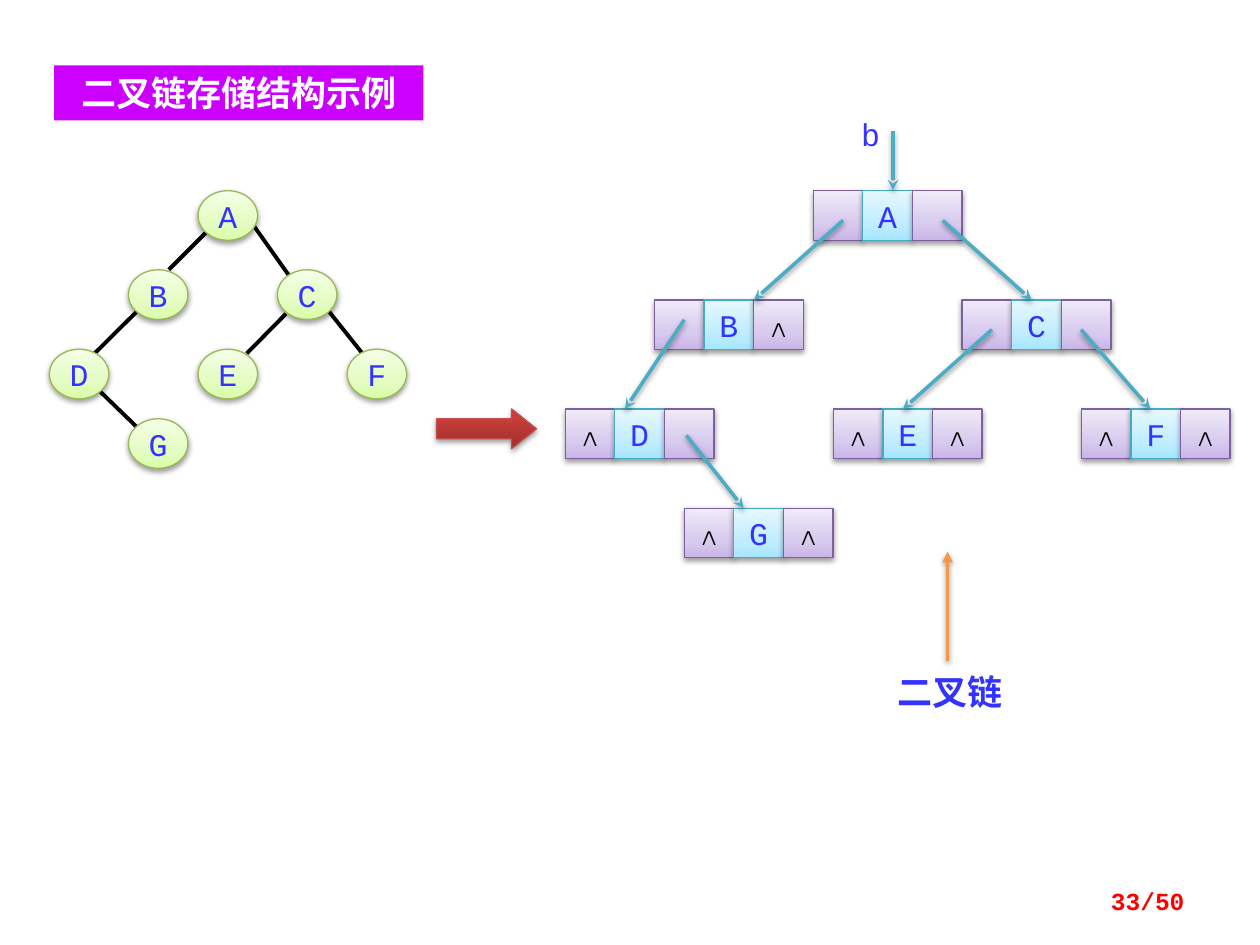
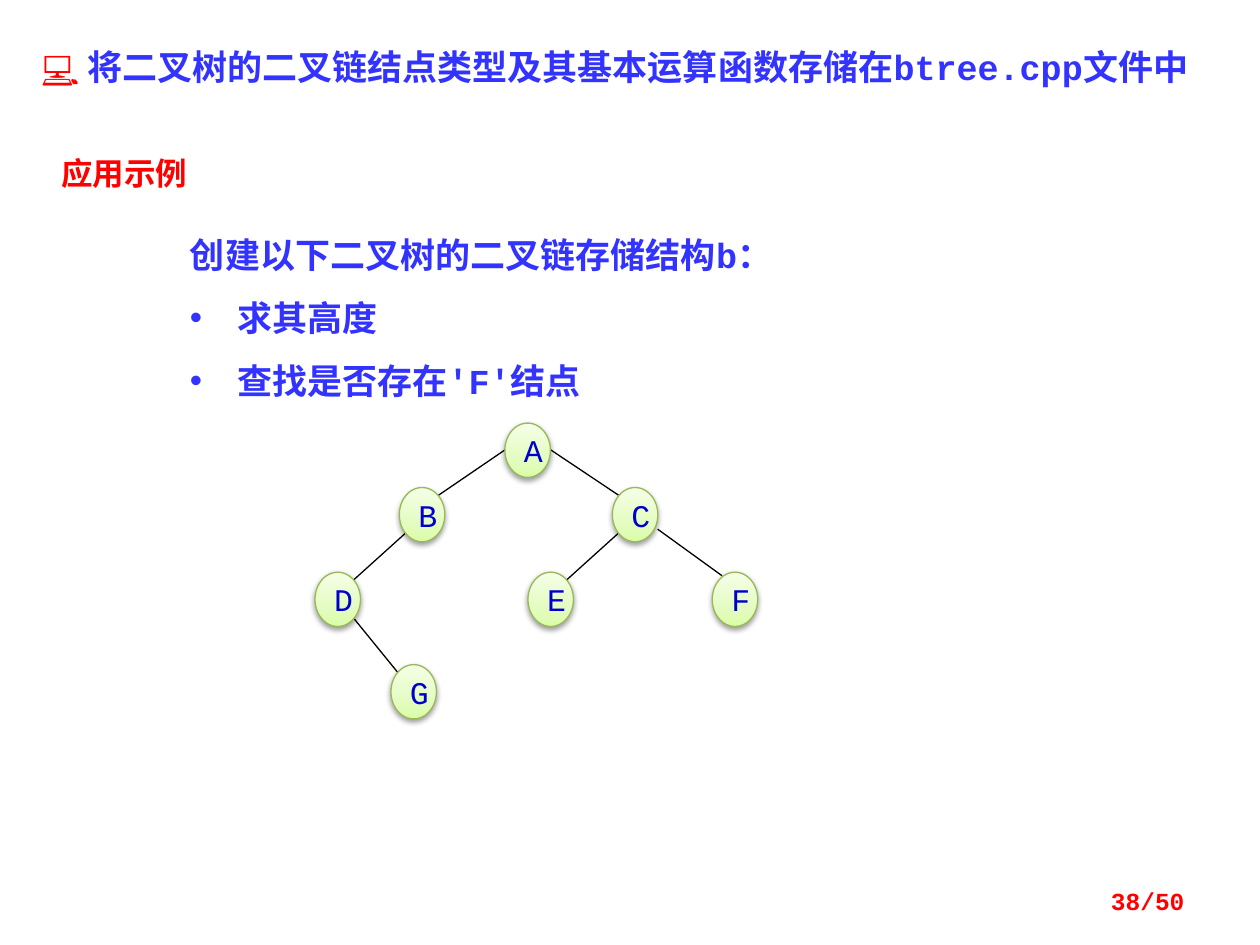
from copy import deepcopy

from lxml import etree
from pptx import Presentation
from pptx import util as u
from pptx.dml.color import RGBColor
from pptx.enum import shapes, text
from pptx.oxml import parse_xml
from pptx.oxml.ns import nsdecls, qn

Pt = u.Pt
rgb = RGBColor.from_string
BLUE, NAVY, RED, WHITE, BLACK = "3333FF", "0000CC", "FF0000", "FFFFFF", "000000"
MONO, HAN = "Courier New", "Noto Sans CJK SC"
LEFT, CENTER, RIGHT = text.PP_ALIGN.LEFT, text.PP_ALIGN.CENTER, text.PP_ALIGN.RIGHT
RECT, OVAL = shapes.MSO_SHAPE.RECTANGLE, shapes.MSO_SHAPE.OVAL

# Palettes: outline colour, then gradient stops from bottom to top
GREEN = ("98B955", [(0, "DAFDA7"), (0.35, "E4FCC2"), (1, "F5FFE7")])
PURPLE = ("7D60A0", [(0, "C9B5E8"), (0.35, "D8CBEE"), (1, "F0EAF9")])
CYAN = ("46AAC5", [(0, "A7E6FF"), (0.35, "C1EDFF"), (1, "E7F8FF")])
BRICK = ("BF4C48", [(0, "9C2F2D"), (0.8, "CB3E3A"), (1, "CE3B37")])
SHADOW = (f'<a:effectLst {nsdecls("a")}><a:outerShdw blurRad="40000" dist="20000" '
          'dir="5400000" rotWithShape="0"><a:srgbClr val="000000"><a:alpha val="38000"/>'
          '</a:srgbClr></a:outerShdw></a:effectLst>')


def add_box(slide, at, words="", size=18, color=BLUE, font=MONO, bold=False, align=CENTER,
            kind=None, palette=None, wrap=True):
    """Add a text box, or a shaded shape when kind and palette are given."""
    at = [Pt(n) for n in at]
    if kind is None:
        box = slide.shapes.add_textbox(*at)
    else:
        box = slide.shapes.add_shape(kind, *at)
        box.text_frame.vertical_anchor = text.MSO_ANCHOR.MIDDLE
    if palette:
        outline, stops = palette
        box.fill.gradient()
        box.fill.gradient_angle = 90
        stop_list = box._element.spPr.find(".//" + qn("a:gsLst"))
        stop_list.append(deepcopy(stop_list[0]))
        for stop, (position, shade) in zip(box.fill.gradient_stops, stops):
            stop.position = position
            stop.color.rgb = rgb(shade)
        box.line.color.rgb = rgb(outline)
        box.line.width = Pt(0.75)
        box._element.spPr.append(parse_xml(SHADOW))
    box.text_frame.word_wrap = wrap
    box.text_frame.text = words
    for paragraph in box.text_frame.paragraphs:
        paragraph.alignment = align
        for run in paragraph.runs:
            run.font.size, run.font.name, run.font.bold = Pt(size), font, bold
            run.font.color.rgb = rgb(color)
            etree.SubElement(run.font._element, qn("a:ea"), typeface=HAN)
    return box


def add_line(slide, ends, color=BLACK, width=0.75, head=None):
    """Add a straight line; one with an arrowhead also casts a shadow."""
    line = slide.shapes.add_connector(shapes.MSO_CONNECTOR.STRAIGHT, *[Pt(n) for n in ends])
    line.line.color.rgb = rgb(color)
    line.line.width = Pt(width)
    if head:
        etree.SubElement(line.line._get_or_add_ln(), qn("a:tailEnd"), type=head)
    effects = SHADOW if head else f'<a:effectLst {nsdecls("a")}/>'
    line._element.spPr.append(parse_xml(effects))


deck = Presentation()
deck.slide_width, deck.slide_height = Pt(720), Pt(540)
storage, usage = [deck.slides.add_slide(deck.slide_layouts[6]) for _ in range(2)]

# Binary trees, one on each slide
trees = [
    (storage, (34, 28.35), BLUE, 2.25, False,
     {"A": (113.2, 109), "B": (73.4, 154.2), "C": (158.5, 154.2), "D": (28.2, 199.6),
      "E": (113.2, 199.6), "F": (198.4, 199.6), "G": (73.4, 239.3)},
     [(118.8, 131.8, 96.5, 154.1), (145, 129, 165.2, 157.5), (79.2, 177, 51, 205),
      (163.4, 179.3, 141, 202), (187.2, 177, 209.5, 205), (56, 222.5, 79, 244.8)]),
    (usage, (26, 31), NAVY, 0.75, True,
     {"A": (288.5, 241.8), "B": (228.2, 278.6), "C": (349.9, 278.6), "D": (180, 327),
      "E": (301.7, 327), "F": (407, 327), "G": (223.4, 379.8)},
     [(288.7, 257, 250.6, 283), (314.6, 257, 353.5, 283), (231.8, 304.6, 202.3, 331.2),
      (353.5, 304.6, 324, 331.2), (375.8, 302.4, 412.6, 329), (202.3, 353.5, 227.5, 384.5)]),
]
for slide, node_size, letter_color, edge_width, wrap, nodes, edges in trees:
    for edge in edges:
        add_line(slide, edge, width=edge_width)
    for letter, corner in nodes.items():
        add_box(slide, corner + node_size, letter, color=letter_color,
                kind=OVAL, palette=GREEN, wrap=wrap)

# Slide 1: linked storage, each node with left pointer, data and right pointer
convert = add_box(storage, (249.5, 233.7, 57, 22.7),
                  kind=shapes.MSO_SHAPE.RIGHT_ARROW, palette=BRICK)
convert.adjustments[1] = 0.626
CELL = 28.35
NIL = "∧"
records = [
    (464.7, 109, "", "A", ""), (374, 171.4, "", "B", NIL), (323, 233.7, NIL, "D", ""),
    (391, 290.4, NIL, "G", NIL), (549.8, 171.4, "", "C", ""),
    (476.2, 233.7, NIL, "E", NIL), (617.9, 233.7, NIL, "F", NIL),
]
for left, top, *fields in records:
    for column, (field, palette) in enumerate(zip(fields, (PURPLE, CYAN, PURPLE))):
        add_box(storage, (left + column * CELL, top, CELL, CELL), field,
                color=BLUE if palette is CYAN else BLACK,
                kind=RECT, palette=palette, wrap=False)
links = [
    (510.3, 75, 510.3, 108.7), (481.7, 126, 430.9, 171.4), (538.7, 126, 589.5, 171.4),
    (391, 182.7, 357.2, 233.7), (392.2, 248.8, 424.9, 290.2),
    (566.8, 188.4, 516, 233.7), (617.8, 188.4, 657.3, 233.7),
]
for link in links:
    add_line(storage, link, "4BACC6", 2, "stealth")
add_box(storage, (472, 62, 51, 29), "b")

title = add_box(storage, (31, 37.3, 211, 31.5), "二叉链存储结构示例", 20, WHITE,
                bold=True, kind=RECT)
title.fill.solid()
title.fill.fore_color.rgb = rgb("CC00FF")
title.line.fill.background()
title.shadow.inherit = False
add_box(storage, (489, 379.4, 108, 31.5), "二叉链", 20, font=HAN, bold=True)
add_line(storage, (541.5, 377.5, 541.5, 315.3), "F79646", 2, "triangle")

# Slide 2: headline and tasks
headline = add_box(usage, (16.5, 22.3, 680.5, 31.5), "💻 ", 20, RED, bold=True, align=LEFT)
icon = headline.text_frame.paragraphs[0]
icon._p.append(deepcopy(icon.runs[0]._r))
statement = icon.runs[1]
statement.text = "将二叉树的二叉链结点类型及其基本运算函数存储在btree.cpp文件中"
statement.font.color.rgb = rgb(BLUE)
add_box(usage, (28, 84.2, 135.5, 29), "应用示例", color=RED, font=HAN, bold=True, align=LEFT)
tasks = add_box(usage, (101.5, 124, 556.5, 107),
                "创建以下二叉树的二叉链存储结构b：\n求其高度\n查找是否存在'F'结点",
                20, bold=True, align=LEFT)
for number, task in enumerate(tasks.text_frame.paragraphs):
    task.line_spacing, task.space_before = Pt(30), Pt(6)
    if number:
        properties = task._p.get_or_add_pPr()
        properties.set("marL", str(Pt(27)))
        properties.set("indent", str(-Pt(27)))
        etree.SubElement(properties, qn("a:buFont"), typeface="Arial")
        etree.SubElement(properties, qn("a:buChar"), char="•")

for slide, page in ((storage, 33), (usage, 38)):
    footer = add_box(slide, (516, 500.4, 168, 28.8), f"{page}/50", 14, RED,
                     bold=True, align=RIGHT)
    footer.text_frame.vertical_anchor = text.MSO_ANCHOR.MIDDLE

deck.save("out.pptx")
